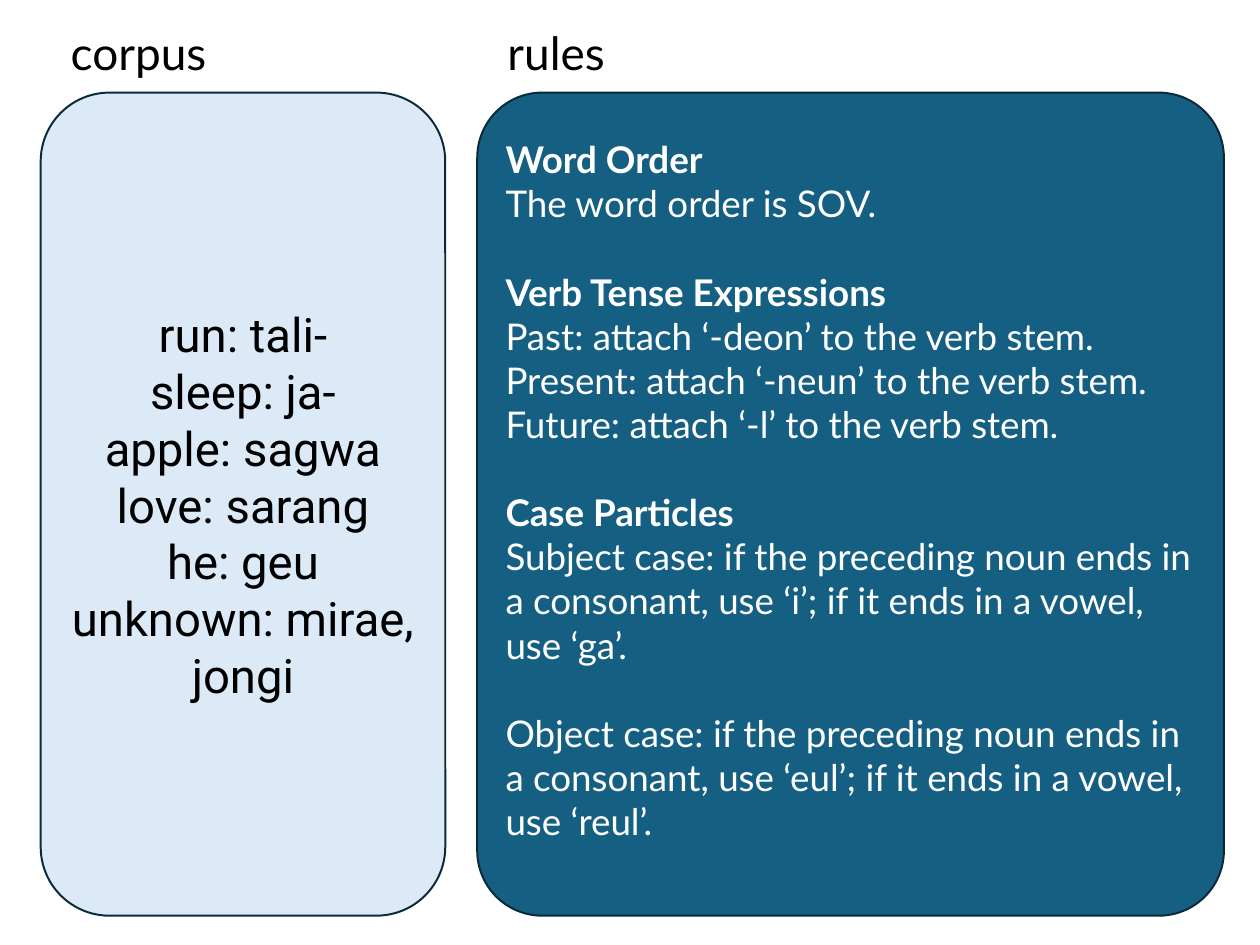
"""Build a slide that sets a small corpus beside the grammar rules of a language."""
from pptx import Presentation
from pptx import util as u
from pptx.dml.color import RGBColor
from pptx.enum import shapes, text

WIDTH, HEIGHT = u.Inches(13.33), u.Inches(10)
BLACK = RGBColor(0x00, 0x00, 0x00)
WHITE = RGBColor(0xFF, 0xFF, 0xFF)
PALE = RGBColor(0xDC, 0xEA, 0xF7)
TEAL = RGBColor(0x15, 0x60, 0x82)
EDGE = RGBColor(0x09, 0x2A, 0x39)

TOP, TALL = 9.8, 87.1
CORPUS_X, CORPUS_W = 3.23, 32.11
RULES_X, RULES_W = 37.88, 59.26
LABEL_INDENT = 1.65

CORPUS = [("", ["run: tali-", "sleep: ja-", "apple: sagwa", "love: sarang",
                "he: geu", "unknown: mirae, jongi"])]
RULES = [
    ("Word Order", ["The word order is SOV."]),
    ("Verb Tense Expressions", [
        "Past: attach ‘-deon’ to the verb stem.",
        "Present: attach ‘-neun’ to the verb stem.",
        "Future: attach ‘-l’ to the verb stem."]),
    ("Case Particles", [
        "Subject case: if the preceding noun ends in a consonant, use ‘i’; "
        "if it ends in a vowel, use ‘ga’."]),
    ("", ["Object case: if the preceding noun ends in a consonant, use ‘eul’; "
          "if it ends in a vowel, use ‘reul’."]),
]


def box(x, y, w, h):
    """Turn percentages of the slide into a position and size."""
    return [int(full * share / 100) for full, share in
            ((WIDTH, x), (HEIGHT, y), (WIDTH, w), (HEIGHT, h))]


def write(tf, blocks, size, font="Lato", color=BLACK, gap=0,
          align=text.PP_ALIGN.LEFT):
    """Write each block as a paragraph: a bold heading, then its lines."""
    for i, (heading, lines) in enumerate(blocks):
        p = tf.add_paragraph() if i else tf.paragraphs[0]
        p.alignment = align
        p.space_before = u.Pt(gap if i else 0)
        parts = [(heading, True)] if heading else []
        parts += [(line, False) for line in lines]
        for j, (words, bold) in enumerate(parts):
            if j:
                p.add_line_break()
            r = p.add_run()
            r.text = words
            r.font.name, r.font.size, r.font.bold = font, u.Pt(size), bold
            r.font.color.rgb = color


def add_panel(s, x, w, fill, corner):
    """Add a rounded panel and return its text frame."""
    sp = s.shapes.add_shape(shapes.MSO_SHAPE.ROUNDED_RECTANGLE,
                            *box(x, TOP, w, TALL))
    sp.adjustments[0] = corner
    sp.shadow.inherit = False
    sp.fill.solid()
    sp.fill.fore_color.rgb = fill
    sp.line.color.rgb = EDGE
    sp.line.width = u.Pt(1.5)
    tf = sp.text_frame
    tf.word_wrap = True
    tf.vertical_anchor = text.MSO_ANCHOR.MIDDLE
    return tf


def add_label(s, words, panel_x, w):
    """Add the title above a panel."""
    tf = s.shapes.add_textbox(*box(panel_x + LABEL_INDENT, 2.1, w, 6.9)).text_frame
    tf.word_wrap = False
    tf.auto_size = text.MSO_AUTO_SIZE.SHAPE_TO_FIT_TEXT
    write(tf, [("", [words])], size=35)


def main():
    """Build and save the slide."""
    prs = Presentation()
    prs.slide_width, prs.slide_height = WIDTH, HEIGHT
    s = prs.slides.add_slide(prs.slide_layouts[6])

    tf = add_panel(s, CORPUS_X, CORPUS_W, PALE, corner=0.17)
    write(tf, CORPUS, size=36, font="Roboto", align=text.PP_ALIGN.CENTER)

    tf = add_panel(s, RULES_X, RULES_W, TEAL, corner=0.087)
    tf.margin_bottom = u.Inches(0.35)
    write(tf, RULES, size=28, color=WHITE, gap=33.6)

    add_label(s, "corpus", CORPUS_X, 12.6)
    add_label(s, "rules", RULES_X, 9.53)
    prs.save("out.pptx")


if __name__ == "__main__":
    main()
